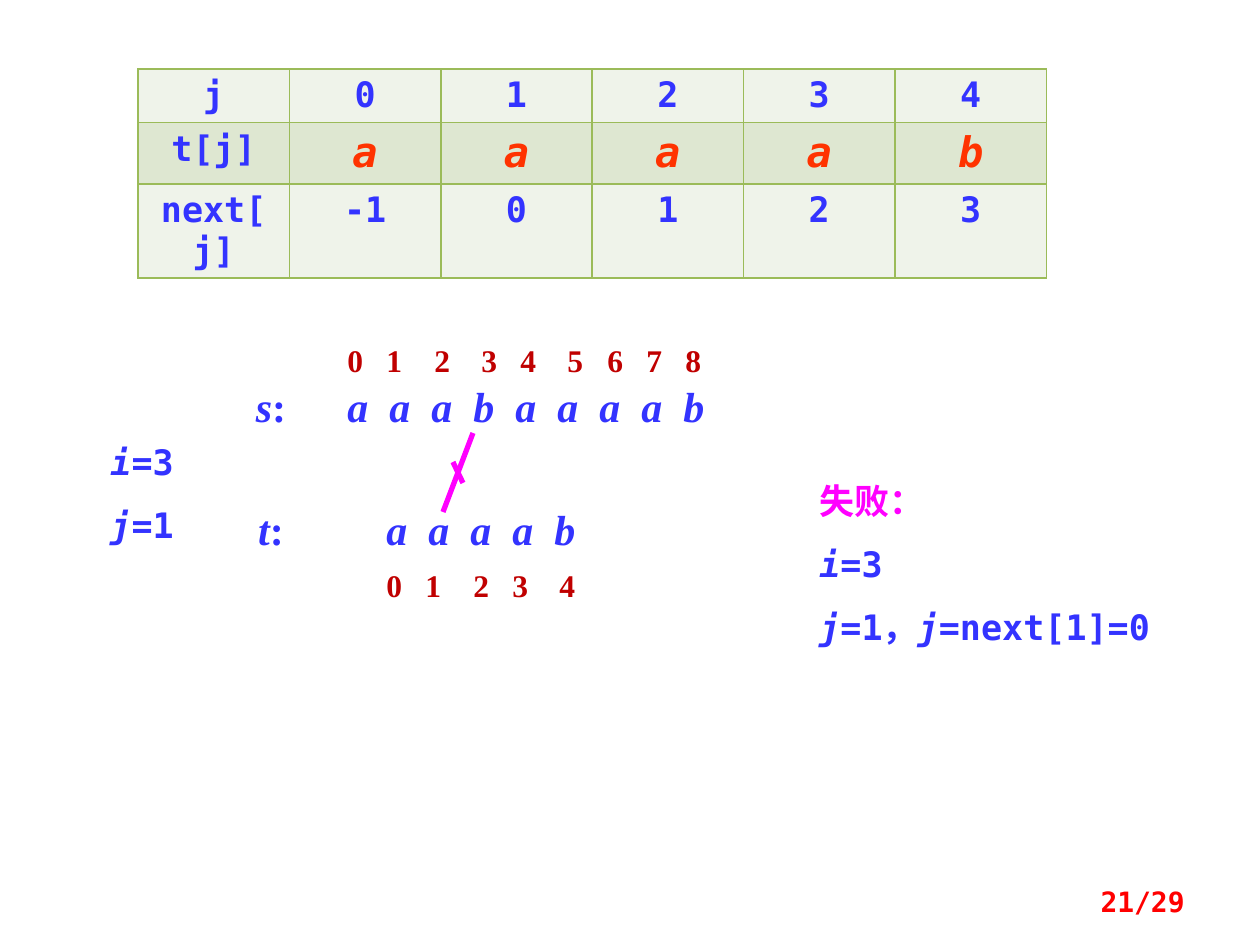
"""Build the slide that traces one failed step of KMP string matching."""
from dataclasses import dataclass

from lxml.etree import SubElement
from pptx import Presentation
from pptx.dml.color import RGBColor as Rgb
from pptx.enum.shapes import MSO_CONNECTOR as Conn
from pptx.enum.text import MSO_ANCHOR as Anchor, PP_ALIGN as Align
from pptx.oxml import parse_xml
from pptx.oxml.ns import nsdecls, qn
from pptx.util import Pt

SCALE = 914400 / 126


@dataclass(frozen=True)
class Theme:
    """Colours, fonts and type sizes of the slide."""
    blue: str = "3333FF"
    orange: str = "FF3300"
    dark: str = "C00000"
    pink: str = "FF00FF"
    red: str = "FF0000"
    green: str = "9BBB59"
    light: str = "EFF3EA"
    shade: str = "DEE7D1"
    mono: str = "DejaVu Sans Mono"
    serif: str = "Times New Roman"
    page: int = 16
    index: int = 18
    body: int = 20
    letter: int = 24


THEME = Theme()


@dataclass(frozen=True)
class Label:
    """Text box whose lines mark italic parts with asterisks."""
    box: tuple[int, int, int, int]
    lines: tuple[str, ...]
    size: int = THEME.body
    font: str = THEME.mono
    color: str = THEME.blue
    first: str = ""
    align: Align = Align.LEFT
    space: float = 1.0
    stops: tuple[int, ...] = ()
    anchor: Anchor = Anchor.TOP


@dataclass(frozen=True)
class Line:
    """Straight stroke between two points."""
    start: tuple[int, int]
    end: tuple[int, int]


def px(num: float) -> int:
    """Turn pixels into EMU."""
    return round(num * SCALE)


def style(font, name: str, size: int, color: str, italic: bool = False) -> None:
    """Format a bold run."""
    font.name, font.size = name, Pt(size)
    font.bold, font.italic = True, italic
    font.color.rgb = Rgb.from_string(color)


def add_tabs(para, stops: tuple[int, ...]) -> None:
    """Set left tab stops on a paragraph."""
    tabs = SubElement(para._p.get_or_add_pPr(), qn("a:tabLst"))
    for stop in stops:
        SubElement(tabs, qn("a:tab"), pos=str(px(stop)), algn="l")


def add_label(slide, label: Label) -> None:
    """Draw one text box."""
    frame = slide.shapes.add_textbox(*map(px, label.box)).text_frame
    frame.word_wrap, frame.vertical_anchor = True, label.anchor
    frame.text = "\n".join([""] * len(label.lines))
    for row, (para, line) in enumerate(zip(frame.paragraphs, label.lines)):
        para.alignment, para.line_spacing = label.align, label.space
        if label.stops:
            add_tabs(para, label.stops)
        color = label.first if label.first and row == 0 else label.color
        for part, text in enumerate(line.split("*")):
            if text:
                run = para.add_run()
                run.text = text
                style(run.font, label.font, label.size, color, part % 2 == 1)


def add_line(slide, line: Line) -> None:
    """Draw one pink stroke."""
    stroke = slide.shapes.add_connector(Conn.STRAIGHT, *map(px, line.start + line.end))
    stroke.line.color.rgb = Rgb.from_string(THEME.pink)
    stroke.line.width = Pt(3)
    SubElement(stroke._element.spPr, qn("a:effectLst"))


def add_edges(cell) -> None:
    """Give a cell thin green borders."""
    props = cell._tc.get_or_add_tcPr()
    for pos, side in enumerate("LRTB"):
        props.insert(pos, parse_xml(
            f'<a:ln{side} {nsdecls("a")} w="12700"><a:solidFill>'
            f'<a:srgbClr val="{THEME.green}"/></a:solidFill></a:ln{side}>'))


def add_grid(slide, rows: tuple[tuple[str, ...], ...]) -> None:
    """Draw the table of next values."""
    count, wide, high = len(rows[0]), 151.4, 52
    grid = slide.shapes.add_table(
        len(rows), count, px(138), px(69), px(wide * count), px(high * len(rows))).table
    for row, texts in enumerate(rows):
        for col, text in enumerate(texts):
            cell = grid.cell(row, col)
            cell.fill.solid()
            cell.fill.fore_color.rgb = Rgb.from_string(THEME.shade if row == 1 else THEME.light)
            add_edges(cell)
            cell.text_frame.text = text
            para = cell.text_frame.paragraphs[0]
            para.alignment = Align.CENTER
            sign = row == 1 and col > 0
            style(para.runs[0].font, THEME.mono, THEME.letter if sign else THEME.body,
                  THEME.orange if sign else THEME.blue, sign)


def add_word(slide, name: str, word: str, left: int, top: int,
             mark: int, stops: tuple[int, ...]) -> None:
    """Draw a named string with an index over or under each letter."""
    serif, size = THEME.serif, THEME.letter
    pitch = tuple(42 * step for step in range(1, len(word)))
    digits = "\t".join(map(str, range(len(word))))
    wide = 42 * len(word) + 44
    add_label(slide, Label((left, top, wide, 63), ("*" + "\t".join(word) + "*",),
                           size, serif, stops=pitch))
    add_label(slide, Label((227, top, 88, 63), (f"*{name}*:",), size, serif,
                           align=Align.CENTER))
    add_label(slide, Label((left, mark, wide, 50), (digits,), THEME.index, serif,
                           THEME.dark, stops=stops))


ROWS = (
    ("j", "0", "1", "2", "3", "4"),
    ("t[j]", "a", "a", "a", "a", "b"),
    ("next[j]", "-1", "0", "1", "2", "3"),
)
LABELS = (
    Label((807, 452, 376, 204), ("失败：", "*i*=3", "*j*=1，*j*=next[1]=0"),
          first=THEME.pink, space=1.5),
    Label((98, 413, 98, 134), ("*i*=3", "*j*=1"), space=1.5),
    Label((903, 876, 294, 50), ("21/29",), THEME.page, color=THEME.red,
          align=Align.RIGHT, anchor=Anchor.MIDDLE),
)
LINES = (Line((473, 433), (443, 512)), Line((453, 462), (463, 483)))


def main() -> None:
    """Build and save the slide."""
    deck = Presentation()
    deck.slide_width, deck.slide_height = px(1260), px(945)
    slide = deck.slides.add_slide(deck.slide_layouts[6])
    add_grid(slide, ROWS)
    add_word(slide, "s", "aaabaaaab", 335, 374, 335, (39, 87, 134, 173, 220, 260, 299, 338))
    add_word(slide, "t", "aaaab", 374, 497, 560, (39, 87, 126, 173))
    for line in LINES:
        add_line(slide, line)
    for label in LABELS:
        add_label(slide, label)
    deck.save("out.pptx")


if __name__ == "__main__":
    main()
